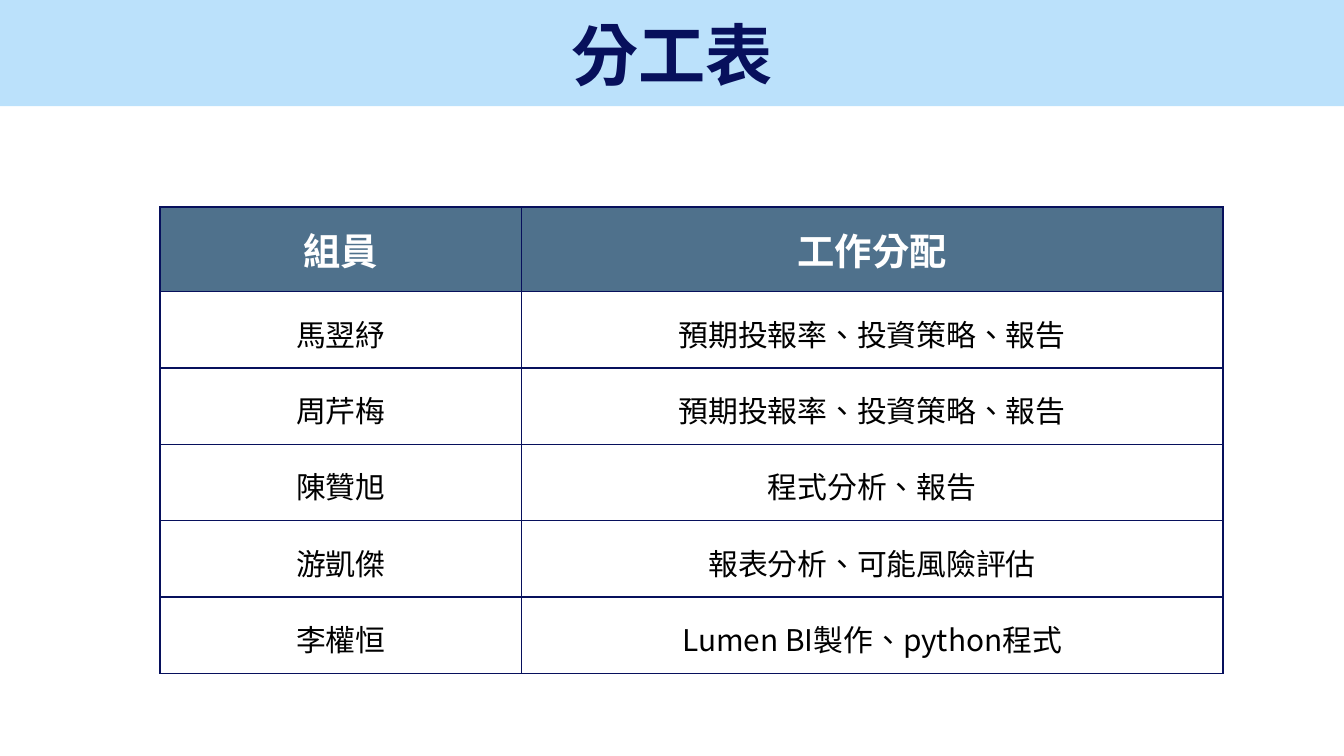
"""Build the slide that lists each team member's share of the work."""

import dataclasses

import lxml.etree
import pptx
import pptx.dml.color
import pptx.enum.lang
import pptx.enum.shapes
import pptx.enum.text
import pptx.oxml.ns
import pptx.presentation
import pptx.slide
import pptx.table
import pptx.text.text
import pptx.util

Inches = pptx.util.Inches
FONT = "Noto Sans CJK SC"
COLOURS = {
    "band": "BBE1FB",
    "navy": "07105C",
    "header": "4F718C",
    "white": "FFFFFF",
    "black": "000000",
}


@dataclasses.dataclass(frozen=True)
class Assignment:
    member: str
    work: str


HEADING = Assignment("組員", "工作分配")
ASSIGNMENTS = [
    Assignment("馬翌紓", "預期投報率、投資策略、報告"),
    Assignment("周芹梅", "預期投報率、投資策略、報告"),
    Assignment("陳贊旭", "程式分析、報告"),
    Assignment("游凱傑", "報表分析、可能風險評估"),
    Assignment("李權恒", "Lumen BI製作、python程式"),
]


def colour(name: str) -> pptx.dml.color.RGBColor:
    return pptx.dml.color.RGBColor.from_string(COLOURS[name])


def write_text(
    frame: pptx.text.text.TextFrame,
    text: str,
    *,
    size: int,
    ink: str,
    bold: bool = False,
    spacing: float = 1.0,
) -> None:
    para = frame.paragraphs[0]
    para.alignment = pptx.enum.text.PP_ALIGN.CENTER
    para.line_spacing = spacing
    span = para.add_run()
    span.text = text
    span.font.name = FONT
    span.font.size = pptx.util.Pt(size)
    span.font.bold = bold
    span.font.color.rgb = colour(ink)
    span.font.language_id = pptx.enum.lang.MSO_LANGUAGE_ID.TRADITIONAL_CHINESE
    properties = span._r.get_or_add_rPr()
    east_asian = lxml.etree.SubElement(properties, pptx.oxml.ns.qn("a:ea"))
    east_asian.set("typeface", FONT)


def draw_borders(cell: pptx.table._Cell, ink: str, width: float) -> None:
    properties = cell._tc.get_or_add_tcPr()
    for side in ("a:lnL", "a:lnR", "a:lnT", "a:lnB"):
        line = lxml.etree.SubElement(properties, pptx.oxml.ns.qn(side))
        line.set("w", str(pptx.util.Pt(width)))
        fill = lxml.etree.SubElement(line, pptx.oxml.ns.qn("a:solidFill"))
        value = lxml.etree.SubElement(fill, pptx.oxml.ns.qn("a:srgbClr"))
        value.set("val", COLOURS[ink])


def draw_cell(cell: pptx.table._Cell, text: str, is_header: bool) -> None:
    cell.vertical_anchor = pptx.enum.text.MSO_ANCHOR.MIDDLE
    cell.margin_left = cell.margin_right = Inches(0.1)
    cell.margin_top = cell.margin_bottom = Inches(0.1)
    draw_borders(cell, "navy", 1)
    if is_header:
        cell.fill.solid()
        cell.fill.fore_color.rgb = colour("header")
        write_text(cell.text_frame, text, size=20, ink="white", bold=True)
    else:
        cell.fill.background()
        write_text(cell.text_frame, text, size=16, ink="black", spacing=1.15)


def draw_title(page: pptx.slide.Slide, text: str) -> None:
    box = page.shapes.add_shape(
        pptx.enum.shapes.MSO_SHAPE.RECTANGLE, 0, 0, Inches(10), Inches(0.79)
    )
    box.shadow.inherit = False
    box.fill.solid()
    box.fill.fore_color.rgb = colour("band")
    box.line.fill.background()
    frame = box.text_frame
    frame.word_wrap = True
    frame.vertical_anchor = pptx.enum.text.MSO_ANCHOR.MIDDLE
    frame.margin_left = frame.margin_right = Inches(0.1)
    frame.margin_top = frame.margin_bottom = Inches(0.1)
    write_text(frame, text, size=36, ink="navy", bold=True)


def draw_assignments(page: pptx.slide.Slide) -> None:
    entries = [HEADING, *ASSIGNMENTS]
    table = page.shapes.add_table(
        len(entries), 2, Inches(1.19), Inches(1.54), Inches(7.91), Inches(3.18)
    ).table
    table.horz_banding = False
    for column, width in zip(table.columns, (2.69, 5.22)):
        column.width = Inches(width)
    for index, entry in enumerate(entries):
        is_header = index == 0
        table.rows[index].height = Inches(0.63 if is_header else 0.51)
        for position, text in enumerate((entry.member, entry.work)):
            draw_cell(table.cell(index, position), text, is_header)


def main() -> None:
    deck = pptx.Presentation()
    deck.slide_width = Inches(10)
    deck.slide_height = Inches(10 * 9 / 16)
    page = deck.slides.add_slide(deck.slide_layouts[6])
    draw_title(page, "分工表")
    draw_assignments(page)
    deck.save("out.pptx")


if __name__ == "__main__":
    main()
